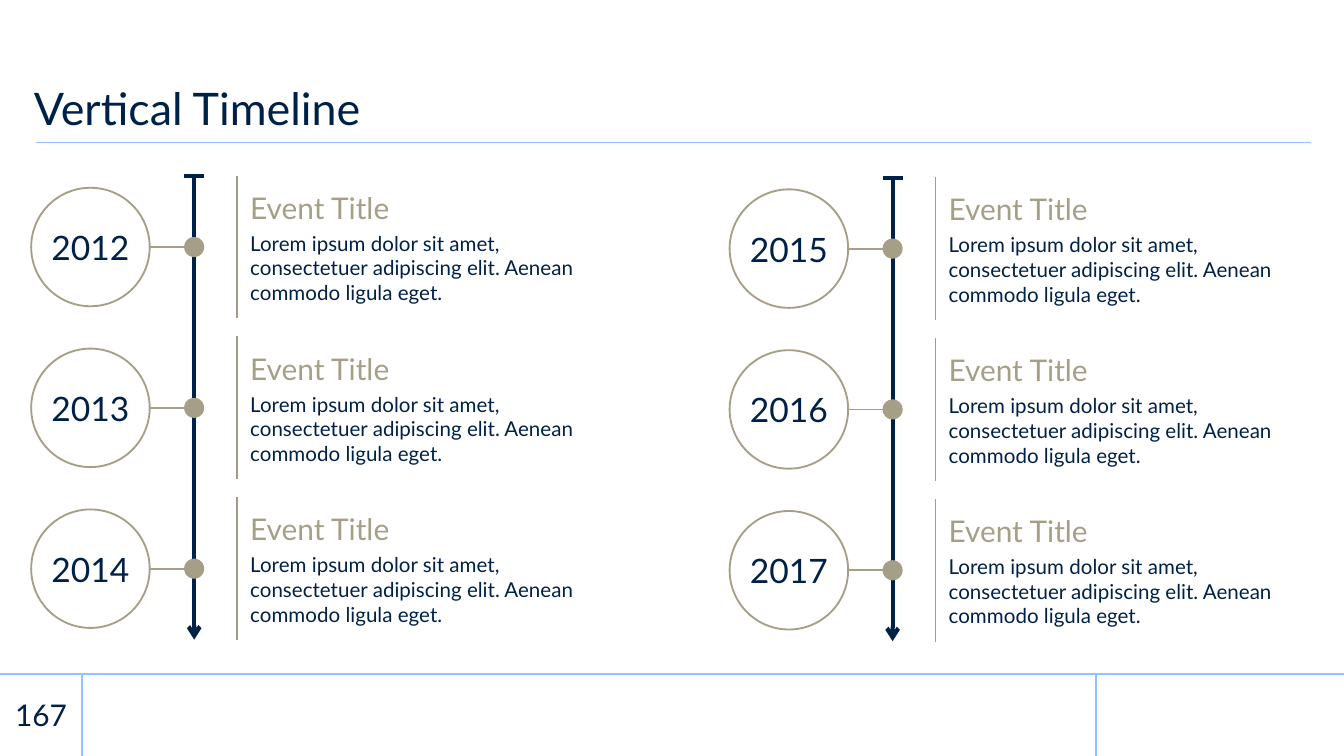
from pptx import Presentation
from pptx.dml.color import RGBColor
from pptx.enum.shapes import MSO_CONNECTOR as Link, MSO_SHAPE as Kind
from pptx.enum.text import MSO_ANCHOR as Anchor, MSO_AUTO_SIZE as Fit, PP_ALIGN as Align
from pptx.oxml.ns import qn
from pptx.util import Cm, Pt
from lxml.etree import SubElement

TITLE = "Vertical Timeline"
PAGE = "167"
HEAD = "Event Title"
BODY = "Lorem ipsum dolor sit amet, consectetuer adipiscing elit. Aenean commodo ligula eget."
# left shift, down shift, years from top to bottom
LINES = [
    (0, 0, ["2012", "2013", "2014"]),
    (13.2, 0.03, ["2015", "2016", "2017"]),
]


class Theme:
    font = "Lato"
    navy, sand, rule, edge, white = "002147", "A69F88", "91C4FF", "A39C84", "FFFFFF"
    title, year, head, body, page = 24, 18, 16, 11, 16
    thin, mid, bold = 0.75, 1, 2.25


# all lengths in centimetres
WIDE, HIGH = 25.4, 14.29
FOOT, CELL, SIDE = 12.74, 1.55, 20.71
FIRST, STEP = 4.67, 3.04
AXIS, TOP, END = 3.67, 3.33, 12.09
RING_X, RING, DOT = 1.71, 2.24, 0.38
CARD_X, CARD_W, CARD_H = 4.48, 7.09, 2.7


def rgb(code):
    return RGBColor.from_string(code)


def line(slide, x1, y1, x2, y2, color, width, arrow=False):
    link = slide.shapes.add_connector(Link.STRAIGHT, Cm(x1), Cm(y1), Cm(x2), Cm(y2))
    link.line.color.rgb = rgb(color)
    link.line.width = Pt(width)
    if arrow:
        SubElement(link.line._get_or_add_ln(), qn("a:tailEnd"), type="arrow")
    SubElement(link._element.spPr, qn("a:effectLst"))


def shape(slide, kind, x, y, w, h, fill=None, edge=None, alpha=None):
    item = slide.shapes.add_shape(kind, Cm(x), Cm(y), Cm(w), Cm(h))
    item.shadow.inherit = False
    if fill:
        item.fill.solid()
        item.fill.fore_color.rgb = rgb(fill)
        if alpha:
            tint = item._element.spPr.find(".//" + qn("a:srgbClr"))
            SubElement(tint, qn("a:alpha"), val=str(alpha * 1000))
    else:
        item.fill.background()
    if edge:
        item.line.color.rgb = rgb(edge)
        item.line.width = Pt(Theme.mid)
    else:
        item.line.fill.background()
    return item


def disc(slide, x, y, size, **look):
    """Circle placed by its centre."""
    return shape(slide, Kind.OVAL, x - size / 2, y - size / 2, size, size, **look)


def write(para, text, size, color, align=Align.LEFT):
    para.alignment = align
    run = para.add_run()
    run.text = text
    run.font.name = Theme.font
    run.font.size = Pt(size)
    run.font.color.rgb = rgb(color)


def setup(frame, anchor, pads=None, wrap=True):
    frame.auto_size = Fit.NONE
    frame.word_wrap = wrap
    frame.vertical_anchor = anchor
    if pads:
        (frame.margin_left, frame.margin_top,
         frame.margin_right, frame.margin_bottom) = map(Cm, pads)


def frame_page(slide):
    """Footer band, its rules, the page number and the title."""
    shape(slide, Kind.RECTANGLE, 0, FOOT, WIDE, CELL, fill=Theme.white, alpha=85)
    shape(slide, Kind.RECTANGLE, SIDE, FOOT, WIDE - SIDE, CELL, fill=Theme.white)
    for ends in [(WIDE, FOOT, 0, FOOT), (SIDE, HIGH, SIDE, FOOT),
                 (CELL, HIGH, CELL, FOOT), (24.78, 2.69, 0.68, 2.69)]:
        line(slide, *ends, Theme.rule, Theme.thin)

    box = slide.shapes.add_textbox(0, Cm(FOOT), Cm(CELL), Cm(CELL)).text_frame
    setup(box, Anchor.MIDDLE, (0, 0, 0, 0), wrap=False)
    write(box.paragraphs[0], PAGE, Theme.page, Theme.navy, Align.CENTER)

    title = slide.shapes.title
    title.left, title.top, title.width, title.height = map(Cm, (0.64, 0.66, 24.13, 2.03))
    setup(title.text_frame, Anchor.BOTTOM, (0, 0, 0, 0.13))
    para = title.text_frame.paragraphs[0]
    para.line_spacing = 0.9
    write(para, TITLE, Theme.title, Theme.navy)


def event(slide, left, mid, year):
    line(slide, left + AXIS - DOT / 2, mid, left + RING_X + RING / 2, mid,
         Theme.sand, Theme.mid)
    disc(slide, left + AXIS, mid, DOT, fill=Theme.sand)
    ring = disc(slide, left + RING_X, mid, RING, edge=Theme.sand).text_frame
    setup(ring, Anchor.MIDDLE, wrap=False)
    write(ring.paragraphs[0], year, Theme.year, Theme.navy, Align.CENTER)

    x, y = left + CARD_X, mid - CARD_H / 2
    card = slide.shapes.add_textbox(Cm(x), Cm(y), Cm(CARD_W), Cm(CARD_H)).text_frame
    setup(card, Anchor.MIDDLE, (0.25, 0.25, 0.25, 0.25))
    rows = [(HEAD, Theme.head, Theme.sand), (BODY, Theme.body, Theme.navy)]
    for i, row in enumerate(rows):
        para = card.add_paragraph() if i else card.paragraphs[0]
        para.space_after = Pt(3)
        write(para, *row)
    line(slide, x, y, x, y + CARD_H, Theme.edge, Theme.mid)


def main():
    deck = Presentation()
    deck.slide_width, deck.slide_height = Cm(WIDE), Cm(HIGH)
    slide = deck.slides.add_slide(deck.slide_layouts[5])
    frame_page(slide)
    for left, down, years in LINES:
        x, top = left + AXIS, down + TOP
        line(slide, x, top, x, down + END, Theme.navy, Theme.bold, arrow=True)
        line(slide, x - DOT / 2, top, x + DOT / 2, top, Theme.navy, Theme.bold)
        for i, year in enumerate(years):
            event(slide, left, down + FIRST + i * STEP, year)
    deck.save("out.pptx")


if __name__ == "__main__":
    main()
